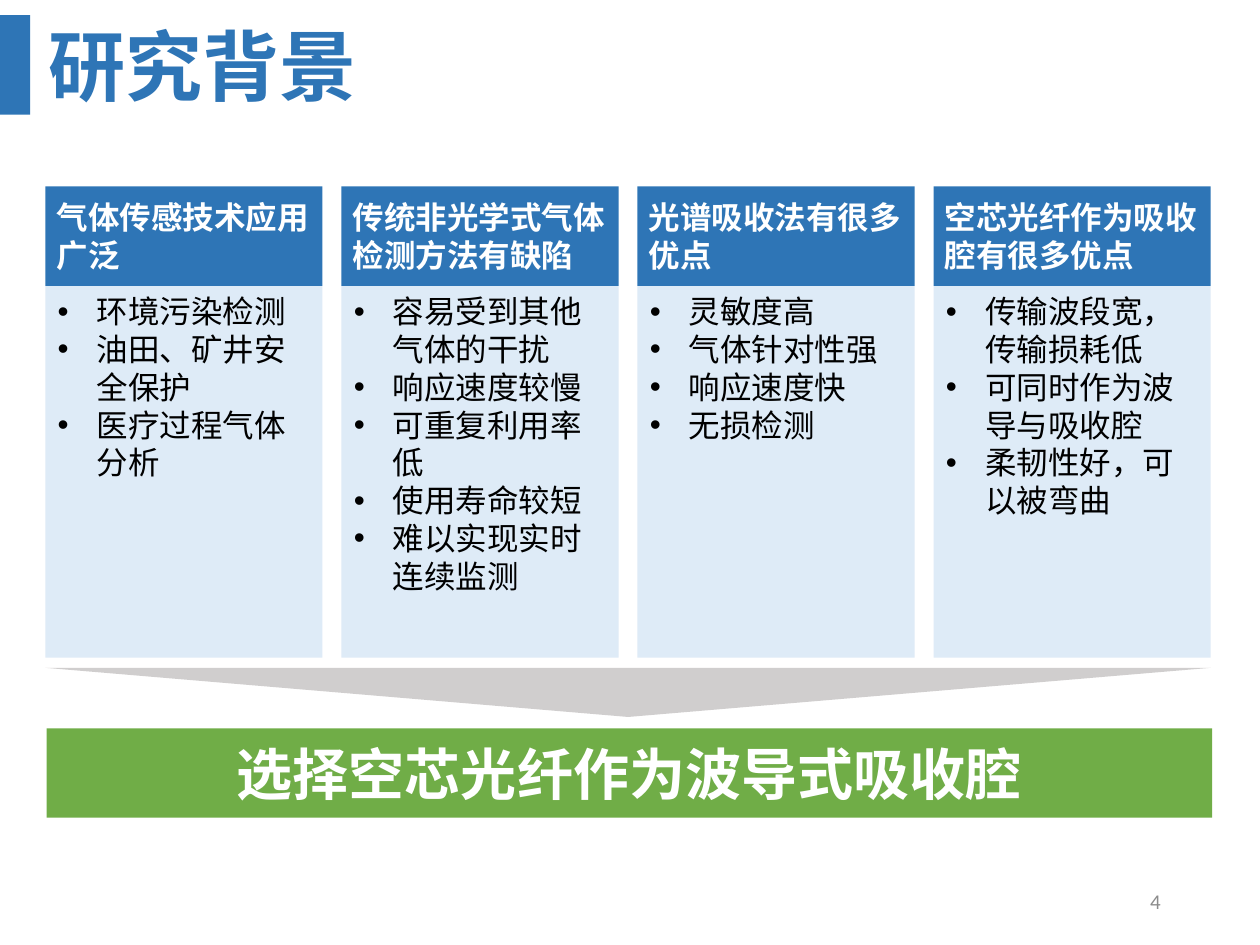
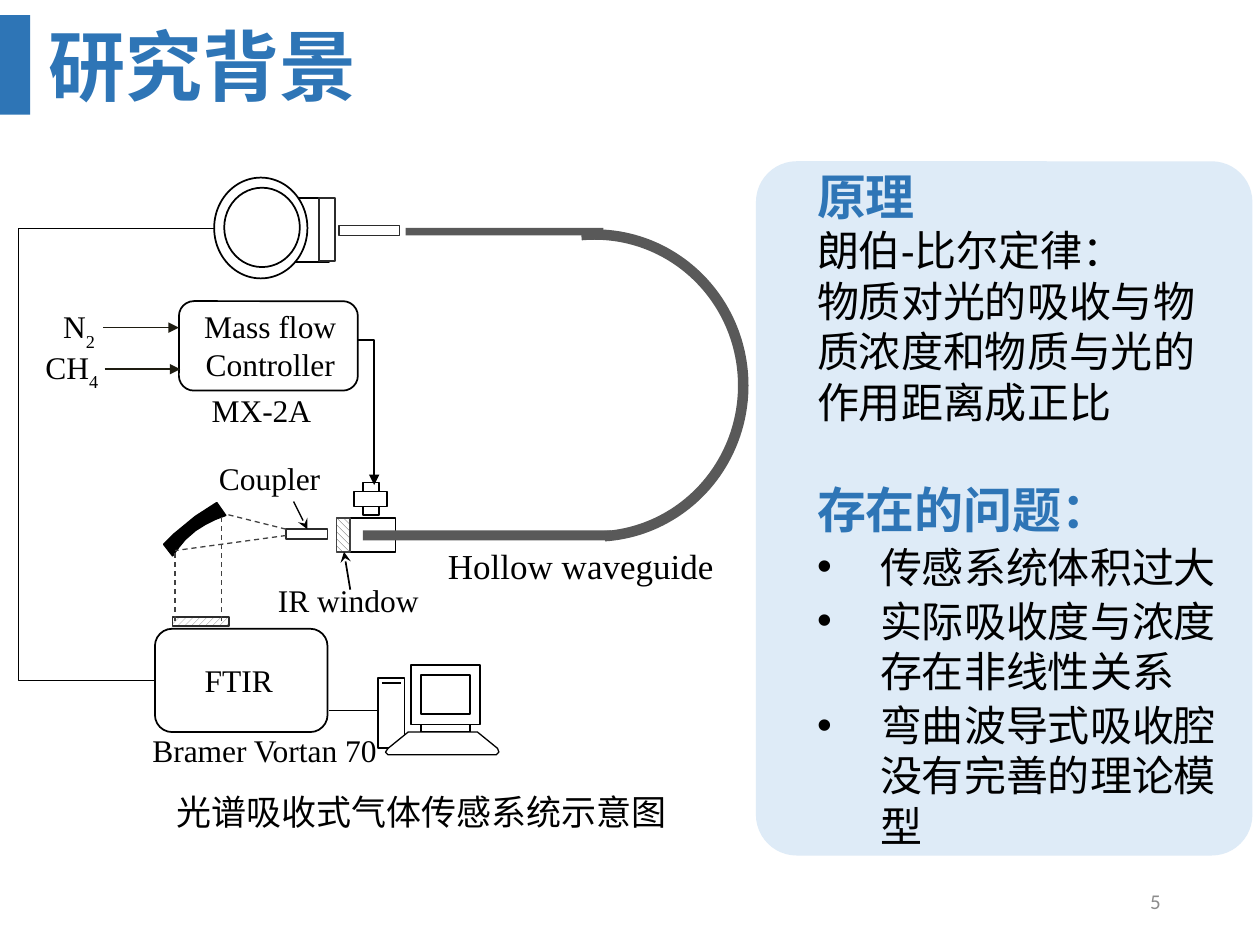
from lxml.etree import SubElement
from pptx import Presentation
from pptx.dml.color import RGBColor
from pptx.enum.dml import MSO_LINE, MSO_PATTERN
from pptx.enum.shapes import MSO_CONNECTOR, MSO_SHAPE
from pptx.enum.text import MSO_ANCHOR, PP_ALIGN
from pptx.oxml.ns import qn
from pptx.util import Inches, Pt

BLUE = RGBColor(0x2E, 0x75, 0xB6)
PALE = RGBColor(0xDE, 0xEB, 0xF7)
GREEN = RGBColor(0x70, 0xAD, 0x47)
SILVER = RGBColor(0xD0, 0xCE, 0xCE)
NUMBER = RGBColor(0x8C, 0x8C, 0x8C)
TUBE = RGBColor(0x59, 0x59, 0x59)
HATCH = RGBColor(0x7F, 0x7F, 0x7F)
BEAM = RGBColor(0x41, 0x41, 0x41)
EDGE = RGBColor(0x2B, 0x2B, 0x2B)
GAS = RGBColor(0x1E, 0x1C, 0x11)
WHITE = RGBColor(255, 255, 255)
BLACK = RGBColor(0, 0, 0)

RECT, ROUND, OVAL = MSO_SHAPE.RECTANGLE, MSO_SHAPE.ROUNDED_RECTANGLE, MSO_SHAPE.OVAL
LEFT, CENTER, RIGHT = PP_ALIGN.LEFT, PP_ALIGN.CENTER, PP_ALIGN.RIGHT
TOP, MIDDLE = MSO_ANCHOR.TOP, MSO_ANCHOR.MIDDLE
TIMES = "Times New Roman"
TIGHT = (0, 0, 0, 0)


def draw(page, kind, at, fill=None, line=None, width=1, turn=0):
    """Add a preset shape; fill is a colour, a (pattern, colour) pair or None."""
    shape = page.shapes.add_shape(kind, *map(Inches, at))
    shape.shadow.inherit = False
    shape.rotation = turn
    if fill is None:
        shape.fill.background()
    elif isinstance(fill, RGBColor):
        shape.fill.solid()
        shape.fill.fore_color.rgb = fill
    else:
        shape.fill.patterned()
        shape.fill.pattern, shape.fill.fore_color.rgb = fill
        shape.fill.back_color.rgb = WHITE
    if line is None:
        shape.line.fill.background()
    else:
        shape.line.color.rgb = line
        shape.line.width = Pt(width)
    return shape


def write(box, lines, size, color=BLACK, bold=False, font="Arial", align=LEFT, anchor=TOP,
          inset=(0.1, 0.05, 0.1, 0.05), margin=0, bullet=False, before=0, after=0):
    """Append one paragraph per line to a box and return the last one."""
    frame = box.text_frame
    sides = dict(zip(("margin_left", "margin_top", "margin_right", "margin_bottom"),
                     map(Inches, inset)))
    for name, value in dict(word_wrap=True, vertical_anchor=anchor, **sides).items():
        setattr(frame, name, value)
    for text in lines:
        para = frame.add_paragraph() if frame.text else frame.paragraphs[0]
        for name, value in dict(alignment=align, space_before=Pt(before),
                                space_after=Pt(after)).items():
            setattr(para, name, value)
        settings = para._p.get_or_add_pPr()
        settings.set("marL", str(Inches(margin)))
        if bullet:
            settings.set("indent", str(-Inches(margin)))
            SubElement(settings, qn("a:buFont")).set("typeface", "Arial")
            SubElement(settings, qn("a:buChar")).set("char", "•")
        span = para.add_run()
        span.text = text
        for name, value in dict(name=font, size=Pt(size), bold=bold).items():
            setattr(span.font, name, value)
        span.font.color.rgb = color
    return para


deck = Presentation()
deck.slide_width, deck.slide_height = Inches(10), Inches(7.5)

# Title, side bar and page number shared by both slides
pages = []
for number in ("4", "5"):
    page = deck.slides.add_slide(deck.slide_layouts[6])
    draw(page, RECT, (0, 0.12, 0.24, 0.79), BLUE)
    title = page.shapes.add_textbox(*map(Inches, (0.29, 0.12, 3.47, 0.79)))
    write(title, ["研究背景"], 44, BLUE, bold=True, anchor=MIDDLE)
    footer = page.shapes.add_textbox(*map(Inches, (7.06, 6.95, 2.25, 0.4)))
    write(footer, [number], 12, NUMBER, font="Calibri", align=RIGHT, anchor=MIDDLE)
    pages.append(page)
reasons, system = pages

# Slide 4: four columns leading to one conclusion
columns = [
    (["气体传感技术应用", "广泛"],
     ["环境污染检测", "油田、矿井安全保护", "医疗过程气体分析"]),
    (["传统非光学式气体", "检测方法有缺陷"],
     ["容易受到其他气体的干扰", "响应速度较慢", "可重复利用率低", "使用寿命较短",
      "难以实现实时连续监测"]),
    (["光谱吸收法有很多", "优点"],
     ["灵敏度高", "气体针对性强", "响应速度快", "无损检测"]),
    (["空芯光纤作为吸收", "腔有很多优点"],
     ["传输波段宽，传输损耗低", "可同时作为波导与吸收腔", "柔韧性好，可以被弯曲"]),
]
for index, (heading, points) in enumerate(columns):
    left = 0.36 + 2.35 * index
    body = draw(reasons, RECT, (left, 2.27, 2.2, 2.95), PALE)
    write(body, points, 18, margin=0.31, bullet=True)
    head = draw(reasons, RECT, (left, 1.48, 2.2, 0.79), BLUE)
    write(head, heading, 18, WHITE, bold=True, anchor=MIDDLE,
          inset=(0.05, 0.05, 0.05, 0.05), margin=0.04)
draw(reasons, MSO_SHAPE.ISOSCELES_TRIANGLE, (0.36, 5.3, 9.25, 0.39), SILVER, turn=180)
conclusion = draw(reasons, RECT, (0.37, 5.78, 9.25, 0.71), GREEN)
write(conclusion, ["选择空芯光纤作为波导式吸收腔"], 32, WHITE, bold=True,
      align=CENTER, anchor=MIDDLE)

# Slide 5: panel with principle and open problems
panel = draw(system, ROUND, (6, 1.28, 3.94, 5.51), PALE)
panel.adjustments[0] = 0.082
layout = dict(anchor=MIDDLE, inset=(0.39, -0.02, 0.1, -0.02))
write(panel, ["原理"], 28, BLUE, bold=True, **layout)
write(panel, ["朗伯-比尔定律：", "物质对光的吸收与物质浓度和物质与光的作用距离成正比"], 24, **layout)
write(panel, ["存在的问题："], 28, BLUE, bold=True, before=30, after=1, **layout)
write(panel, ["传感系统体积过大", "实际吸收度与浓度存在非线性关系", "弯曲波导式吸收腔没有完善的理论模型"],
      24, margin=0.5, bullet=True, before=1, after=1, **layout)

# Slide 5: parts of the sensing system, from back to front
up_hatch = (MSO_PATTERN.WIDE_UPWARD_DIAGONAL, HATCH)
down_hatch = (MSO_PATTERN.WIDE_DOWNWARD_DIAGONAL, BEAM)
parts = [
    # spectrometer, its window and the flow controller
    (ROUND, (1.23, 4.99, 1.37, 0.82), None, BLACK),
    (RECT, (1.37, 4.9, 0.45, 0.07), up_hatch, EDGE),
    (ROUND, (1.42, 2.39, 1.42, 0.71), None, BLACK),
    # coupler, gas inlet and cell
    (RECT, (2.27, 4.2, 0.33, 0.08), WHITE, EDGE),
    (RECT, (2.88, 3.83, 0.13, 0.26), WHITE, BLACK),
    (RECT, (2.81, 3.9, 0.26, 0.12), WHITE, BLACK),
    (RECT, (2.7, 4.11, 0.44, 0.27), WHITE, BLACK),
    (RECT, (2.67, 4.11, 0.11, 0.27), down_hatch, BEAM),
    # detector
    (RECT, (2.3, 1.57, 0.31, 0.51), WHITE, BLACK),
    (RECT, (2.69, 1.79, 0.48, 0.08), None, EDGE),
    (RECT, (2.53, 1.57, 0.13, 0.5), WHITE, EDGE),
    (OVAL, (1.7, 1.41, 0.74, 0.8), WHITE, BLACK),
    (OVAL, (1.78, 1.49, 0.6, 0.63), None, BLACK),
    # straight ends of the waveguide
    (RECT, (2.88, 4.21, 1.97, 0.08), TUBE, None),
    (RECT, (3.22, 1.81, 1.57, 0.06), TUBE, None),
    # computer tower, monitor, stand and screen
    (RECT, (3, 5.38, 0.21, 0.56), WHITE, BLACK),
    (RECT, (3.26, 5.28, 0.55, 0.47), WHITE, BLACK),
    (RECT, (3.34, 5.75, 0.39, 0.06), WHITE, BLACK),
    (RECT, (3.34, 5.36, 0.39, 0.31), WHITE, BLACK),
]
for kind, at, fill, line in parts:
    draw(system, kind, at, fill, line)
bend = draw(system, MSO_SHAPE.BLOCK_ARC, (3.48, 1.84, 2.48, 2.44), TUBE, turn=90)
for index, value in enumerate((104.94, 213.73, 0.034)):
    bend.adjustments[index] = value

mirror = [(1.72, 3.99), (1.79, 4.09), (1.71, 4.12), (1.63, 4.16), (1.55, 4.21),
          (1.47, 4.28), (1.42, 4.34), (1.37, 4.41), (1.3, 4.32), (1.38, 4.24), (1.55, 4.1)]
keyboard = [(3.24, 5.81), (3.79, 5.81), (3.95, 5.94), (3.96, 5.97), (3.94, 5.99),
            (3.08, 5.99), (3.06, 5.97), (3.08, 5.94)]
for outline, fill, width in ((mirror, BLACK, 1), (keyboard, WHITE, 0.75)):
    corners = [(Inches(x), Inches(y)) for x, y in outline]
    builder = system.shapes.build_freeform(*corners[0])
    builder.add_line_segments(corners[1:], close=True)
    shape = builder.convert_to_shape()
    shape.shadow.inherit = False
    shape.fill.solid()
    shape.fill.fore_color.rgb = fill
    shape.line.color.rgb = BLACK
    shape.line.width = Pt(width)

# Slide 5: beams, pointers, gas and signal lines: ends, colour, width, arrowhead, bend
beams = [(1.39, 4.39, 1.39, 4.93), (1.76, 4.93, 1.76, 4.1),
         (2.27, 4.2, 1.79, 4.08), (2.27, 4.25, 1.39, 4.37)]
lines = [(ends, BEAM, 0.75, None, None) for ends in beams] + [
    ((2.33, 3.98, 2.44, 4.2), BLACK, 0.75, "stealth", None),
    ((2.78, 4.68, 2.73, 4.38), BLACK, 1, "stealth", None),
    ((0.82, 2.6, 1.42, 2.6), GAS, 1, "triangle", None),
    ((0.83, 2.93, 1.43, 2.93), GAS, 1, "triangle", None),
    ((2.84, 2.7, 2.97, 3.85), BLACK, 1, "triangle", "bentConnector2"),
    ((1.23, 5.4, 1.7, 1.81), BLACK, 0.5, None, "bentConnector3"),
    ((2.61, 5.64, 3, 5.64), BLACK, 1, None, None),
    ((3.03, 5.42, 3.18, 5.42), BLACK, 1, None, None),
]
for ends, color, width, arrow, elbow in lines:
    kind = MSO_CONNECTOR.ELBOW if elbow else MSO_CONNECTOR.STRAIGHT
    connector = system.shapes.add_connector(kind, *map(Inches, ends))
    connector.line.color.rgb = color
    connector.line.width = Pt(width)
    if color == BEAM:
        connector.line.dash_style = MSO_LINE.DASH
    properties = connector._element.spPr
    if arrow:
        SubElement(properties.find(qn("a:ln")), qn("a:tailEnd")).set("type", arrow)
    SubElement(properties, qn("a:effectLst"))
    if elbow:
        geometry = properties.find(qn("a:prstGeom"))
        geometry.set("prst", elbow)
    if elbow == "bentConnector3":
        guide = SubElement(geometry.find(qn("a:avLst")), qn("a:gd"))
        guide.set("name", "adj1")
        guide.set("fmla", "val -229900")

# Slide 5: labels of the parts
labels = [
    ("Coupler", (1.54, 3.64, 1.2, 0.34), 18, TOP),
    ("IR window", (2.05, 4.61, 1.43, 0.54), 18, TOP),
    ("FTIR", (1.54, 5.22, 0.71, 0.35), 18, MIDDLE),
    ("Bramer Vortan 70", (1.12, 5.77, 1.96, 0.36), 18, MIDDLE),
    ("MX-2A", (1.57, 3.11, 1.01, 0.28), 18, MIDDLE),
    ("Mass flow Controller", (1.42, 2.46, 1.45, 0.55), 18, MIDDLE),
    ("Hollow waveguide", (2.89, 4.32, 3.44, 0.39), 20, TOP),
]
for text, at, size, anchor in labels:
    label = system.shapes.add_textbox(*map(Inches, at))
    write(label, [text], size, font=TIMES, align=CENTER, anchor=anchor, inset=TIGHT)

for symbol, count, at in (("N", "2", (0.5, 2.44, 0.31, 0.41)),
                          ("CH", "4", (0.36, 2.76, 0.49, 0.41))):
    label = system.shapes.add_textbox(*map(Inches, at))
    para = write(label, [symbol], 18, font=TIMES, inset=TIGHT)
    span = para.add_run()
    span.text = count
    span.font.name, span.font.size = TIMES, Pt(18)
    span.font.color.rgb = BLACK
    span._r.get_or_add_rPr().set("baseline", "-30000")

caption = system.shapes.add_textbox(*map(Inches, (0.85, 6.22, 4.99, 0.44)))
write(caption, ["光谱吸收式气体传感系统示意图"], 20, align=CENTER, anchor=MIDDLE)

deck.save("out.pptx")
